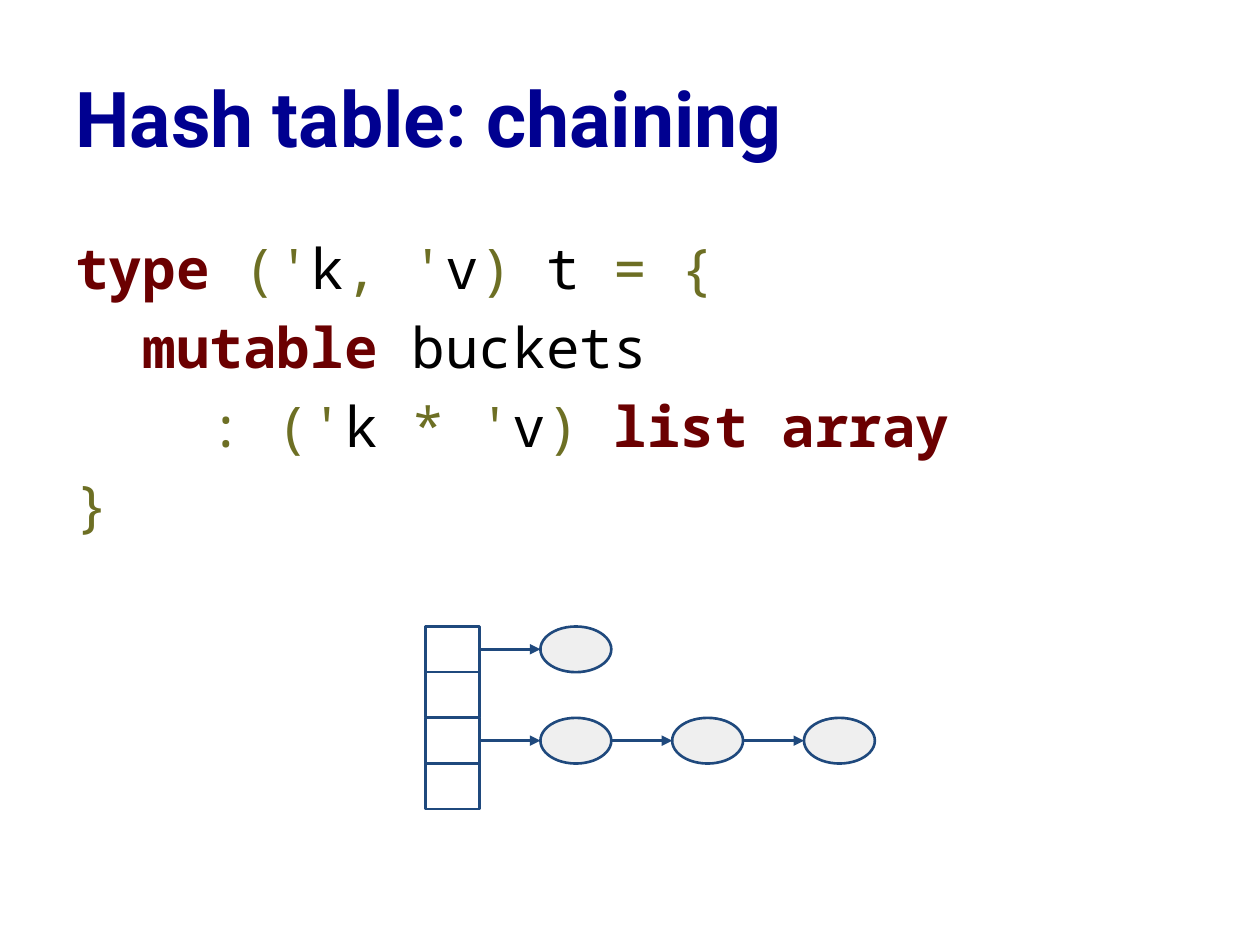
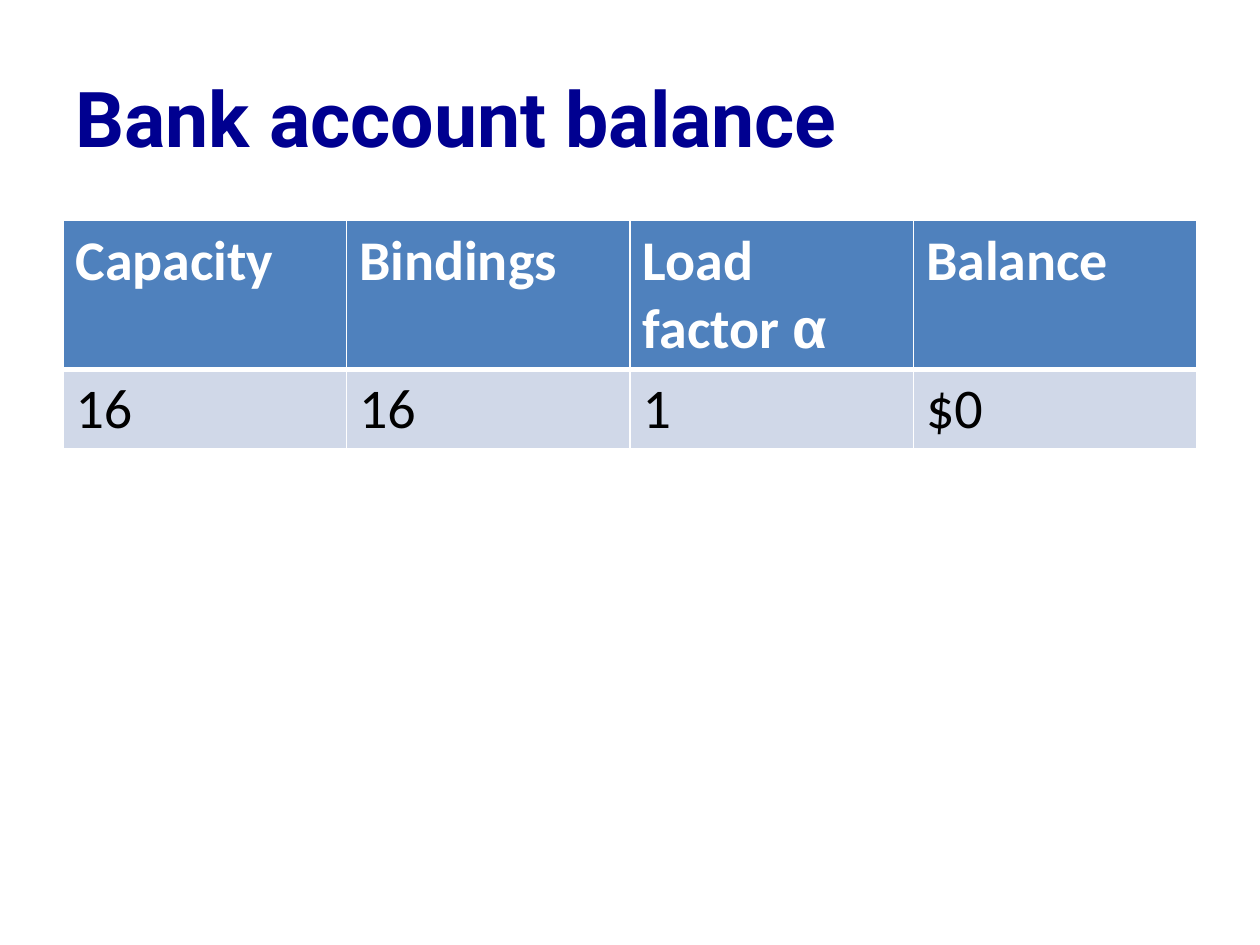
from lxml.etree import SubElement
from pptx import Presentation
from pptx.dml.color import RGBColor
from pptx.enum.shapes import MSO_CONNECTOR, MSO_SHAPE
from pptx.enum.text import MSO_ANCHOR
from pptx.oxml import parse_xml
from pptx.oxml.ns import nsdecls, qn
from pptx.util import Pt

COLORS = {
    "title": "000090", "keyword": "6B0001", "symbol": "6D6F24", "plain": "000000",
    "outline": "1F497D", "node": "EFEFEF", "white": "FFFFFF",
    "header": "4F81BD", "row": "D0D8E8",
}
TITLE_FONT, CODE_FONT, TABLE_FONT = "Roboto", "Noto Sans Mono", "Calibri"
LEFT, WIDTH, BODY_TOP = 36, 648, 126

CHAINING_TITLE = "Hash table: chaining"
CODE = [
    (0, [("type ", "keyword"), ("('", "symbol"), ("k", "plain"), (", '", "symbol"),
         ("v", "plain"), (")", "symbol"), (" t ", "plain"), ("= {", "symbol")]),
    (2, [("mutable", "keyword"), (" buckets", "plain")]),
    (4, [(": ('", "symbol"), ("k ", "plain"), ("* '", "symbol"), ("v", "plain"),
         (") ", "symbol"), ("list array", "keyword")]),
    (0, [("}", "symbol")]),
]
CODE_SIZE, CODE_PITCH, CHAR_WIDTH = 32, 45, 19.2
CHAIN_LENGTHS = [1, 0, 3, 0]
BUCKET_LEFT, BUCKET_TOP, BUCKET_W, BUCKET_H = 243, 358, 31, 26.1
NODE_LEFT, NODE_W, NODE_PITCH = 308.8, 40.5, 75.3

BALANCE_TITLE = "Bank account balance"
BALANCE_ROWS = [
    [[("Capacity", TABLE_FONT)], [("Bindings", TABLE_FONT)],
     [("Load factor ", TABLE_FONT), ("α", "Arial")], [("Balance", TABLE_FONT)]],
    [[(value, TABLE_FONT)] for value in ("16", "16", "1", "$0")],
]
ROW_HEIGHTS = [85, 45]


def rgb(name):
    return RGBColor.from_string(COLORS[name])


def add_run(p, text, font, size, color, bold=False):
    r = p.add_run()
    r.text = text
    r.font.name, r.font.size, r.font.bold = font, Pt(size), bold
    r.font.color.rgb = rgb(color)


def add_text_frame(s, top, height):
    tf = s.shapes.add_textbox(Pt(LEFT), Pt(top), Pt(WIDTH), Pt(height)).text_frame
    tf.word_wrap = True
    return tf


def add_slide(prs, title):
    s = prs.slides.add_slide(prs.slide_layouts[6])
    tf = add_text_frame(s, 21.6, 90)
    tf.vertical_anchor = MSO_ANCHOR.MIDDLE
    add_run(tf.paragraphs[0], title, TITLE_FONT, 44, "title", True)
    return s


def add_code(s):
    tf = add_text_frame(s, BODY_TOP, 356.4)
    tf.margin_top = Pt(1)
    for i, (indent, tokens) in enumerate(CODE):
        p = tf.paragraphs[0] if i == 0 else tf.add_paragraph()
        p.line_spacing = Pt(CODE_PITCH)
        pPr = p._p.get_or_add_pPr()
        pPr.set("marL", str(Pt(indent * CHAR_WIDTH)))
        pPr.set("indent", "0")
        for text, kind in tokens:
            add_run(p, text, CODE_FONT, CODE_SIZE, kind, kind == "keyword")


def add_box(s, preset, x, y, width, fill):
    sp = s.shapes.add_shape(preset, Pt(x), Pt(y), Pt(width), Pt(BUCKET_H))
    sp.shadow.inherit = False
    sp.fill.solid()
    sp.fill.fore_color.rgb = rgb(fill)
    sp.line.color.rgb = rgb("outline")
    sp.line.width = Pt(1.5)
    return sp


def add_arrow(s, x1, x2, y):
    cx = s.shapes.add_connector(MSO_CONNECTOR.STRAIGHT, Pt(x1), Pt(y), Pt(x2), Pt(y))
    cx.line.color.rgb = rgb("outline")
    cx.line.width = Pt(1.5)
    SubElement(cx.line._get_or_add_ln(), qn("a:tailEnd"), type="triangle")
    SubElement(cx._element.spPr, qn("a:effectLst"))
    return cx


def add_buckets(s):
    for i, length in enumerate(CHAIN_LENGTHS):
        y = BUCKET_TOP + i * BUCKET_H
        bucket = add_box(s, MSO_SHAPE.RECTANGLE, BUCKET_LEFT, y, BUCKET_W, "white")
        start = BUCKET_LEFT + BUCKET_W
        for j in range(length):
            x = NODE_LEFT + j * NODE_PITCH
            add_box(s, MSO_SHAPE.OVAL, x, y, NODE_W, "node")
            arrow = add_arrow(s, start, x, y + BUCKET_H / 2)
            if j == 0:
                arrow.begin_connect(bucket, 3)
            start = x + NODE_W


def set_borders(cell, widths):
    tcPr = cell._tc.get_or_add_tcPr()
    for i, (side, width) in enumerate(widths.items()):
        tcPr.insert(i, parse_xml(
            f'<a:ln{side} {nsdecls("a")} w="{Pt(width)}"><a:solidFill>'
            f'<a:srgbClr val="{COLORS["white"]}"/></a:solidFill></a:ln{side}>'))


def add_balance_table(s):
    cols = len(BALANCE_ROWS[0])
    table = s.shapes.add_table(len(BALANCE_ROWS), cols, Pt(LEFT), Pt(BODY_TOP),
                               Pt(WIDTH), Pt(sum(ROW_HEIGHTS))).table
    for i, row in enumerate(BALANCE_ROWS):
        table.rows[i].height = Pt(ROW_HEIGHTS[i])
        header = i == 0
        for j, runs in enumerate(row):
            cell = table.cell(i, j)
            cell.fill.solid()
            cell.fill.fore_color.rgb = rgb("header" if header else "row")
            set_borders(cell, {"L": 1, "R": 1, "T": 1 if header else 3,
                               "B": 3 if header else 1})
            for text, font in runs:
                add_run(cell.text_frame.paragraphs[0], text, font, 32,
                        "white" if header else "plain", header)


def main():
    prs = Presentation()
    prs.slide_width, prs.slide_height = Pt(720), Pt(540)
    s = add_slide(prs, CHAINING_TITLE)
    add_code(s)
    add_buckets(s)
    add_balance_table(add_slide(prs, BALANCE_TITLE))
    prs.save("out.pptx")


if __name__ == "__main__":
    main()
